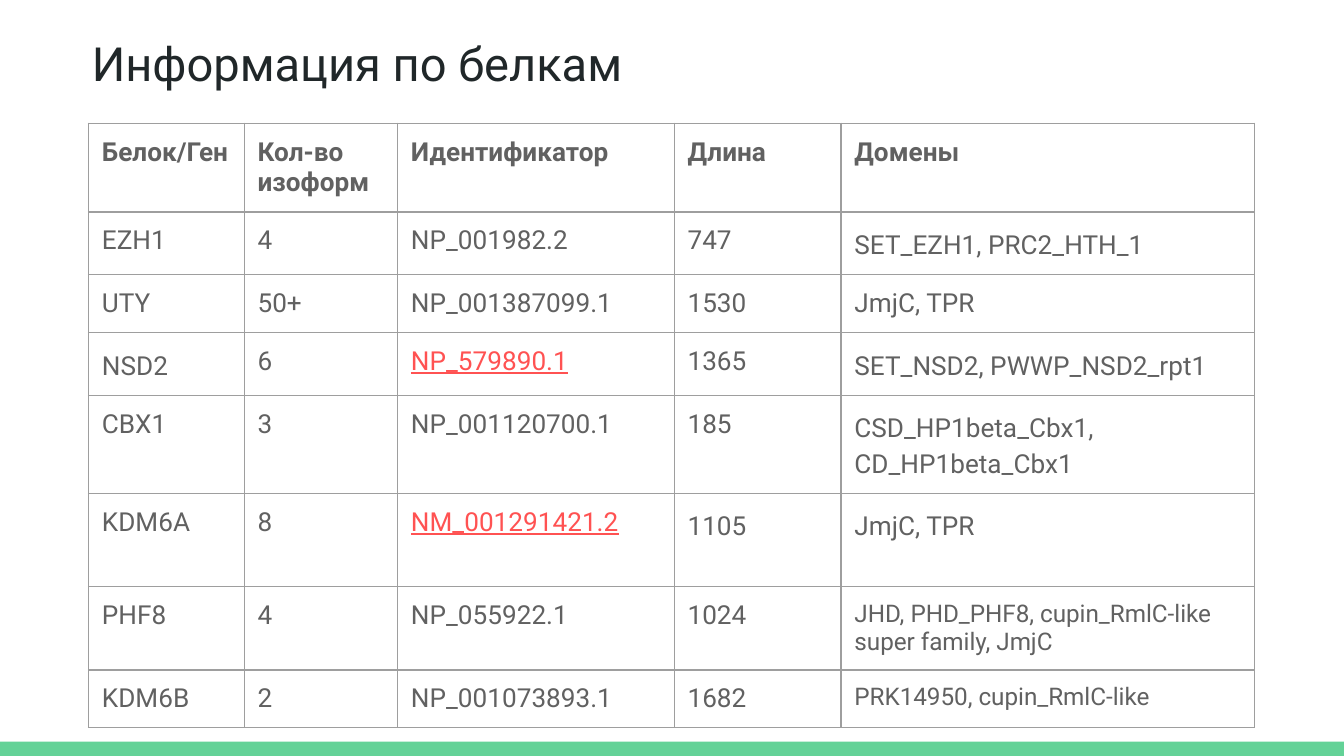
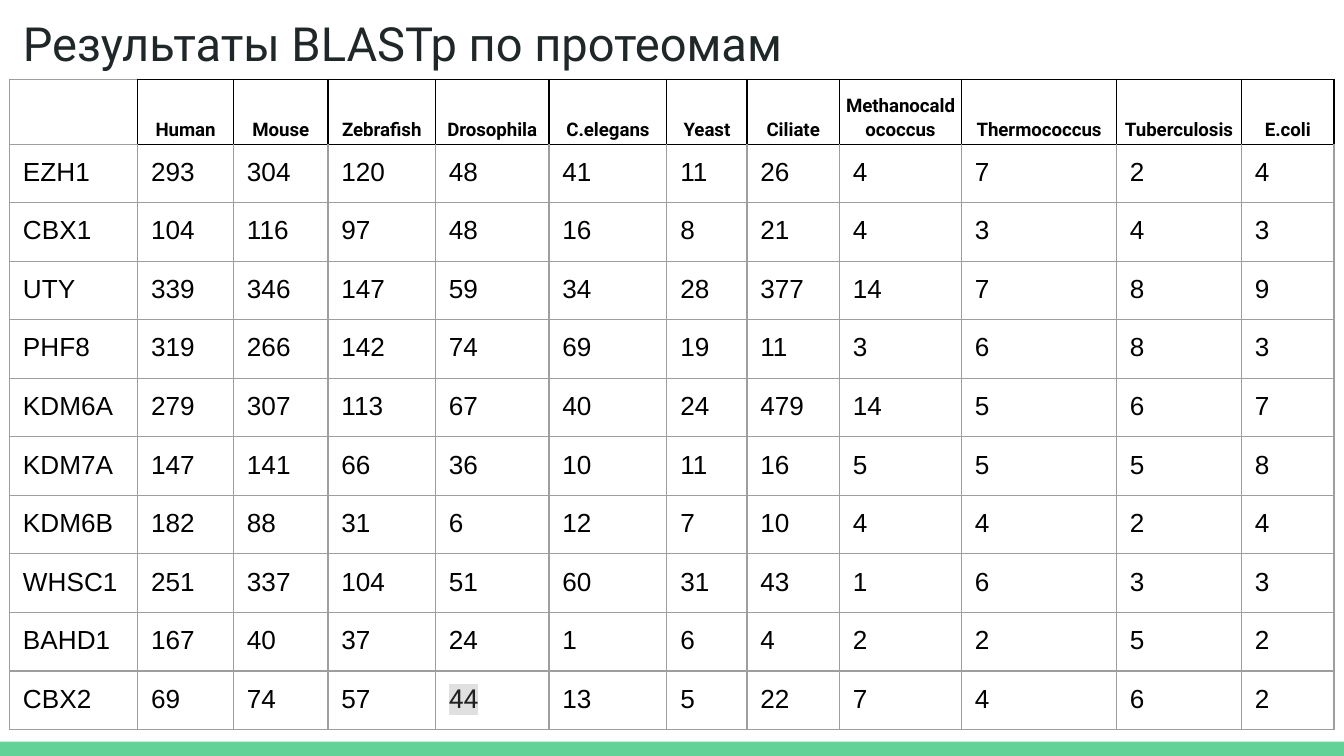
from lxml.etree import SubElement
from pptx import Presentation
from pptx.dml.color import RGBColor
from pptx.enum.shapes import MSO_SHAPE
from pptx.enum.text import MSO_ANCHOR, MSO_AUTO_SIZE, PP_ALIGN
from pptx.oxml import parse_xml
from pptx.oxml.ns import nsdecls, qn
from pptx.util import Pt

WIDTH, HEIGHT = 720, 405
GREEN = "63D297"
DARK = "202729"
TEXT = "616161"
LINK = "FF5252"
GRID = "9E9E9E"
BLACK = "000000"
SIDES = ("L", "R", "T", "B")

PROTEINS = [
    ["Белок/Ген", "Кол-во изоформ", "Идентификатор", "Длина", "Домены"],
    ["EZH1", "4", "NP_001982.2", "747", "SET_EZH1, PRC2_HTH_1"],
    ["UTY", "50+", "NP_001387099.1", "1530", "JmjC, TPR"],
    ["NSD2", "6", "NP_579890.1", "1365", "SET_NSD2, PWWP_NSD2_rpt1"],
    ["CBX1", "3", "NP_001120700.1", "185", "CSD_HP1beta_Cbx1, CD_HP1beta_Cbx1"],
    ["KDM6A", "8", "NM_001291421.2", "1105", "JmjC, TPR"],
    ["PHF8", "4", "NP_055922.1", "1024", "JHD, PHD_PHF8, cupin_RmlC-like super family, JmjC"],
    ["KDM6B", "2", "NP_001073893.1", "1682", "PRK14950, cupin_RmlC-like"],
]
PROTEIN_WIDTHS = [83.4, 82.2, 148.2, 89.4, 221.6]
PROTEIN_HEIGHTS = [47, 33.7, 30.7, 33.7, 52.5, 49.8, 44.8, 30.7]
LINKED = {"NP_579890.1", "NM_001291421.2"}
SPACING = {(1, 4): (0, 12), (3, 0): (18, 4), (3, 4): (0, 12), (4, 4): (0, 12),
           (5, 3): (0, 0), (5, 4): (0, 12)}
SMALL_DOMAIN_ROWS = (6, 7)

HITS = [
    ["", "Human", "Mouse", "Zebrafish", "Drosophila", "C.elegans", "Yeast", "Ciliate",
     "Methanocaldococcus", "Thermococcus", "Tuberculosis", "E.coli"],
    ["EZH1", 293, 304, 120, 48, 41, 11, 26, 4, 7, 2, 4],
    ["CBX1", 104, 116, 97, 48, 16, 8, 21, 4, 3, 4, 3],
    ["UTY", 339, 346, 147, 59, 34, 28, 377, 14, 7, 8, 9],
    ["PHF8", 319, 266, 142, 74, 69, 19, 11, 3, 6, 8, 3],
    ["KDM6A", 279, 307, 113, 67, 40, 24, 479, 14, 5, 6, 7],
    ["KDM7A", 147, 141, 66, 36, 10, 11, 16, 5, 5, 5, 8],
    ["KDM6B", 182, 88, 31, 6, 12, 7, 10, 4, 4, 2, 4],
    ["WHSC1", 251, 337, 104, 51, 60, 31, 43, 1, 6, 3, 3],
    ["BAHD1", 167, 40, 37, 24, 1, 6, 4, 2, 2, 5, 2],
    ["CBX2", 69, 74, 57, 44, 13, 5, 22, 7, 4, 6, 2],
]
HIT_WIDTHS = [68.6, 51.4, 50.6, 57.6, 60.8, 63.2, 42.9, 49.6, 65.4, 83, 67, 49.6]
HIT_HEIGHTS = [34.8] + [31.37] * 10
MARKED_HIT = (10, 4)


def color(value):
    return RGBColor.from_string(value)


def style_span(span, size, font, tint, bold=False, underline=False):
    span.font.size = Pt(size)
    span.font.name = font
    span.font.color.rgb = color(tint)
    span.font.bold = bold
    span.font.underline = underline


def highlight(span, tint):
    mark = parse_xml(f'<a:highlight {nsdecls("a")}><a:srgbClr val="{tint}"/></a:highlight>')
    span.font._element.find(qn("a:solidFill")).addnext(mark)


def set_margins(target, horizontal, vertical):
    target.margin_left = target.margin_right = Pt(horizontal)
    target.margin_top = target.margin_bottom = Pt(vertical)


def set_borders(cell, tints):
    properties = cell._tc.get_or_add_tcPr()
    for position, side in enumerate(SIDES):
        line = SubElement(properties, qn(f"a:ln{side}"), w=str(Pt(0.75)))
        fill = SubElement(line, qn("a:solidFill"))
        SubElement(fill, qn("a:srgbClr"), val=tints.get(side, GRID))
        properties.insert(position, line)


def write_cell(cell, value, **style):
    para = cell.text_frame.paragraphs[0]
    para.text = str(value)
    for span in para.runs:
        style_span(span, **style)
    return para


def add_band(layout, page):
    band = page.shapes.add_shape(MSO_SHAPE.RECTANGLE, 0, Pt(397.4), Pt(WIDTH), Pt(HEIGHT - 397.4))
    band.shadow.inherit = False
    band.fill.solid()
    band.fill.fore_color.rgb = color(GREEN)
    band.line.fill.background()
    layout.shapes._spTree.append(band._element)


def add_title(page, text, left, top):
    box = page.shapes.title
    box.left, box.top, box.width, box.height = Pt(left), Pt(top), Pt(671), Pt(45.4)
    frame = box.text_frame
    frame.text = text
    frame.word_wrap = True
    frame.auto_size = MSO_AUTO_SIZE.NONE
    frame.vertical_anchor = MSO_ANCHOR.BOTTOM
    set_margins(frame, 7.2, 7.2)
    para = frame.paragraphs[0]
    para.alignment = PP_ALIGN.LEFT
    style_span(para.runs[0], 25.2, "Roboto", DARK)


def add_grid(page, left, top, widths, heights):
    frame = page.shapes.add_table(len(heights), len(widths), Pt(left), Pt(top),
                                  Pt(sum(widths)), Pt(sum(heights)))
    table = frame.table
    table.first_row = table.horz_banding = False
    for column, width in zip(table.columns, widths):
        column.width = Pt(width)
    for row, height in zip(table.rows, heights):
        row.height = Pt(height)
    for cell in table.iter_cells():
        cell.fill.background()
        set_margins(cell, 7.2, 7.2)
    return table


def add_protein_table(page):
    table = add_grid(page, 47.4, 66, PROTEIN_WIDTHS, PROTEIN_HEIGHTS)
    for row, values in enumerate(PROTEINS):
        for column, value in enumerate(values):
            cell = table.cell(row, column)
            set_borders(cell, {})
            linked = value in LINKED
            small = column == 4 and row in SMALL_DOMAIN_ROWS
            para = write_cell(cell, value, size=13 if small else 14, font="Roboto",
                              tint=LINK if linked else TEXT, bold=row == 0, underline=linked)
            if (row, column) in SPACING:
                before, after = SPACING[row, column]
                para.line_spacing = 1.15
                para.space_before, para.space_after = Pt(before), Pt(after)


def hit_borders(row, column):
    if row == 0:
        return dict.fromkeys(SIDES, BLACK) if column else {"R": BLACK}
    return {"T": BLACK} if row == 1 and column else {}


def add_hit_table(page):
    table = add_grid(page, 5.1, 42.5, HIT_WIDTHS, HIT_HEIGHTS)
    for row, values in enumerate(HITS):
        for column, value in enumerate(values):
            cell = table.cell(row, column)
            set_borders(cell, hit_borders(row, column))
            if row == 0:
                para = write_cell(cell, value, size=10, font="Roboto", tint=BLACK, bold=True)
                para.alignment = PP_ALIGN.CENTER
                para.line_spacing = 1.15
                cell.vertical_anchor = MSO_ANCHOR.BOTTOM
                set_margins(cell, 2.25, 1.5)
            elif (row, column) == MARKED_HIT:
                para = write_cell(cell, value, size=14, font="Roboto", tint="212121")
                highlight(para.runs[0], "E0E0E0")
            else:
                write_cell(cell, value, size=14, font="Arial", tint=BLACK)


def main():
    deck = Presentation()
    deck.slide_width, deck.slide_height = Pt(WIDTH), Pt(HEIGHT)
    layout = deck.slide_layouts[5]

    page = deck.slides.add_slide(layout)
    add_band(layout, page)
    add_protein_table(page)
    add_title(page, "Информация по белкам", 42, 10.4)

    page = deck.slides.add_slide(layout)
    add_title(page, "Результаты BLASTp по протеомам", 5, 0)
    add_hit_table(page)

    deck.save("out.pptx")


if __name__ == "__main__":
    main()
